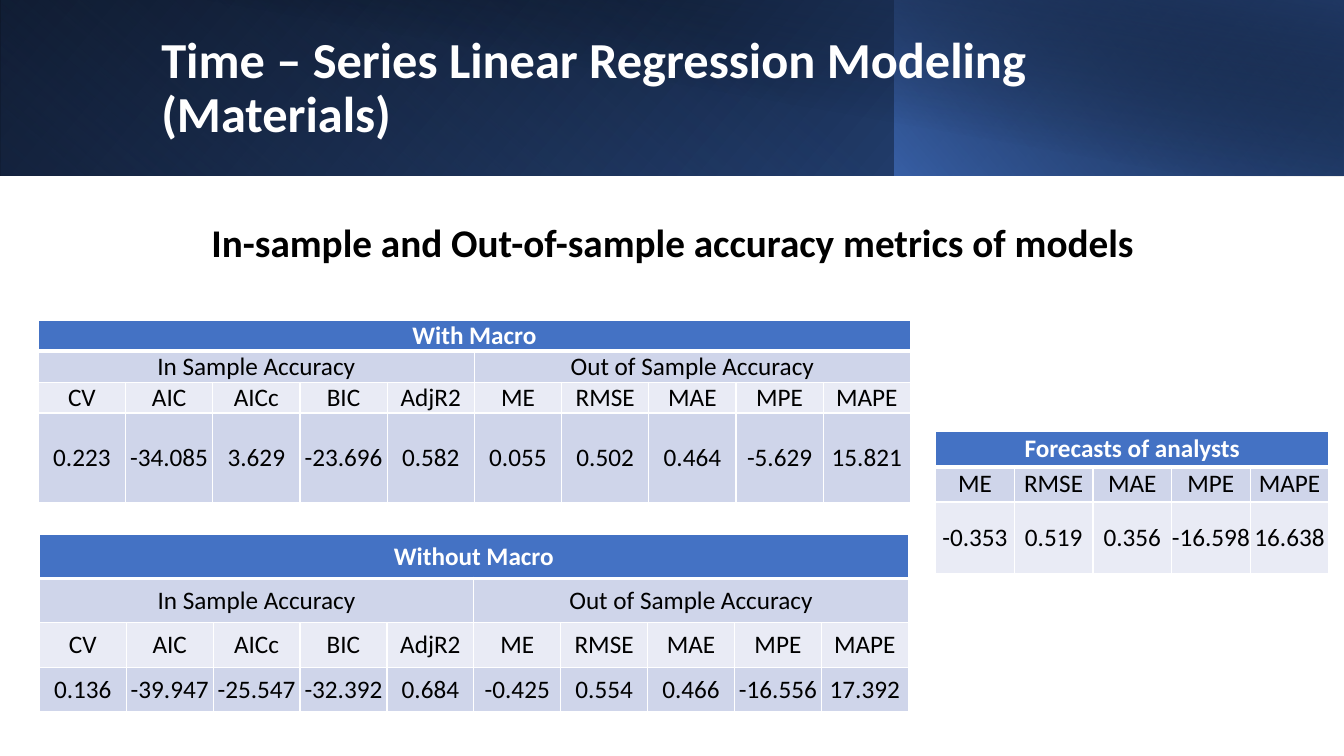
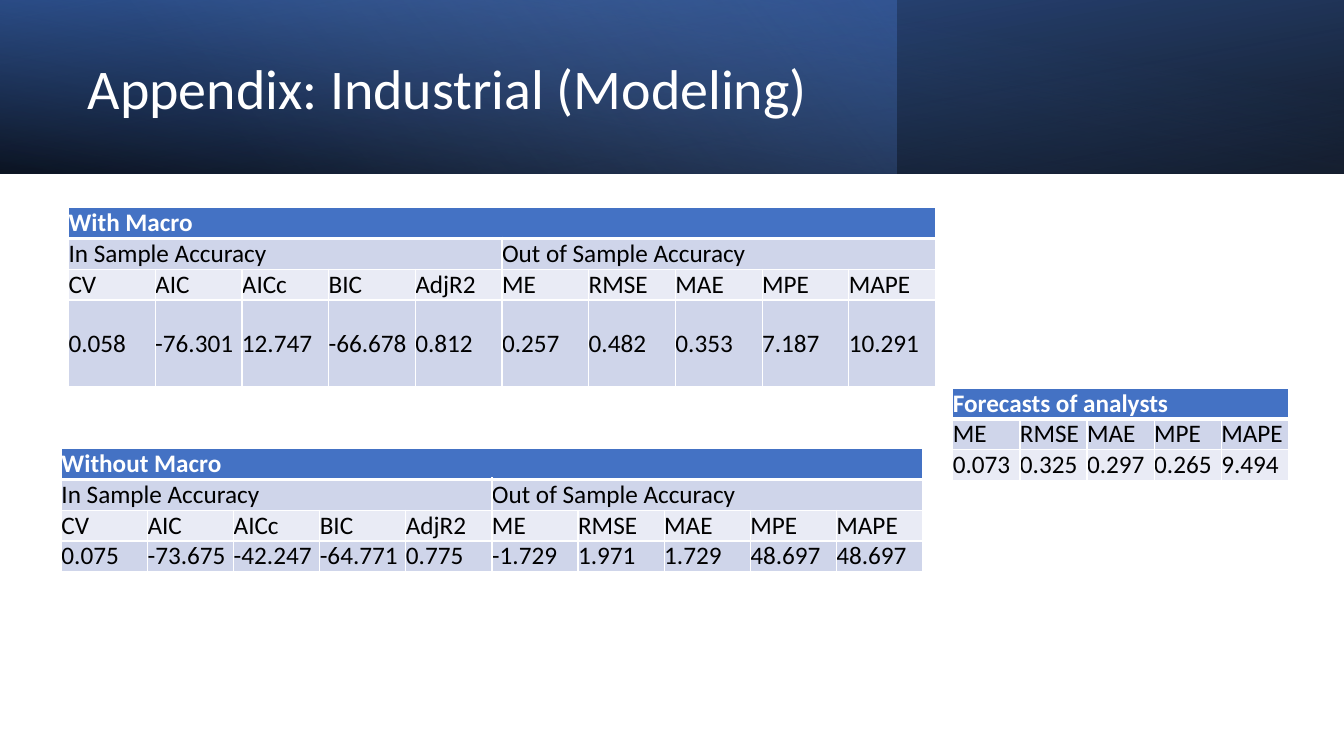
from dataclasses import dataclass

from lxml import etree
from pptx import Presentation
from pptx import util as u
from pptx.dml.color import RGBColor
from pptx.enum import shapes, text
from pptx.oxml.ns import qn

IN_SAMPLE = ["CV", "AIC", "AICc", "BIC", "AdjR2"]
OUT_SAMPLE = ["ME", "RMSE", "MAE", "MPE", "MAPE"]
GROUPS = ["In Sample Accuracy", "Out of Sample Accuracy"]
LEFT, CENTER = text.PP_ALIGN.LEFT, text.PP_ALIGN.CENTER


@dataclass(frozen=True)
class Theme:
    font: str = "Calibri"
    white: str = "FFFFFF"
    black: str = "000000"
    navy: str = "203864"
    deep: str = "2F5597"
    blue: str = "4472C4"
    sky: str = "8FAADC"
    stripes: tuple = ("CFD5EA", "E9EBF5")
    title: int = 36
    title_large: int = 40
    heading: int = 28
    cell: int = 18
    rule: int = 1
    header_rule: int = 3


class Deck:
    """Holds the theme and the current slide and draws each kind of element."""

    def __init__(self, theme):
        self.t = theme
        self.prs = Presentation()
        self.prs.slide_width = u.Inches(13.33)
        self.prs.slide_height = u.Inches(7.5)

    def slide(self):
        self.s = self.prs.slides.add_slide(self.prs.slide_layouts[5])

    def put_text(self, tf, words, size, color, bold=False, **para):
        p = tf.paragraphs[0]
        for name, value in para.items():
            setattr(p, name, value)
        r = p.add_run()
        r.text = words
        style = {"name": self.t.font, "size": u.Pt(size), "bold": bold}
        for name, value in style.items():
            setattr(r.font, name, value)
        r.font.color.rgb = RGBColor.from_string(color)

    def color(self, parent, value, alpha=100):
        c = etree.SubElement(parent, qn("a:srgbClr"), val=value)
        if alpha < 100:
            etree.SubElement(c, qn("a:alpha"), val=str(alpha * 1000))

    def band(self, box, angle, stops, flip=True, rotation=0):
        sp = self.s.shapes.add_shape(
            shapes.MSO_SHAPE.RECTANGLE, *map(u.Inches, box))
        sp.shadow.inherit = False
        sp.line.fill.background()
        sp.rotation = rotation
        if flip:
            sp._element.spPr.xfrm.set("flipH", "1")
        grad = etree.Element(qn("a:gradFill"), rotWithShape="1")
        stop_list = etree.SubElement(grad, qn("a:gsLst"))
        for pos, value, alpha in stops:
            stop = etree.SubElement(
                stop_list, qn("a:gs"), pos=str(pos * 1000))
            self.color(stop, value, alpha)
        etree.SubElement(
            grad, qn("a:lin"), ang=str(angle * 60000), scaled="0")
        sp._element.spPr.find(qn("a:prstGeom")).addnext(grad)

    def title(self, words, box, size, bold=False, **para):
        sp = self.s.shapes.title
        sp.left, sp.top, sp.width, sp.height = map(u.Inches, box)
        self.s.shapes._spTree.append(sp._element)
        tf = sp.text_frame
        tf.auto_size = text.MSO_AUTO_SIZE.NONE
        tf.vertical_anchor = text.MSO_ANCHOR.MIDDLE
        self.put_text(tf, words, size, self.t.white, bold,
                      alignment=LEFT, line_spacing=0.9, **para)

    def heading(self, words, box):
        tf = self.s.shapes.add_textbox(*map(u.Inches, box)).text_frame
        tf.word_wrap = True
        self.put_text(tf, words, self.t.heading, self.t.black, True,
                      alignment=CENTER)

    def borders(self, cell, row):
        widths = {"L": self.t.rule, "R": self.t.rule,
                  "T": self.t.header_rule if row == 1 else self.t.rule,
                  "B": self.t.header_rule if row == 0 else self.t.rule}
        for side, width in widths.items():
            ln = etree.SubElement(cell._tc.get_or_add_tcPr(),
                                  qn(f"a:ln{side}"), w=str(u.Pt(width)))
            self.color(etree.SubElement(ln, qn("a:solidFill")), self.t.white)

    def table(self, left, top, width, heights, rows, align):
        cols = len(rows[-1])
        tbl = self.s.shapes.add_table(
            len(rows), cols, *map(u.Inches, (left, top, width, sum(heights)))
        ).table
        for col in tbl.columns:
            col.width = u.Inches(width / cols)
        for i, (height, values) in enumerate(zip(heights, rows)):
            tbl.rows[i].height = u.Inches(height)
            fill = self.t.stripes[(i + 1) % 2] if i else self.t.blue
            for cell in tbl.rows[i].cells:
                for side in ("left", "right", "top", "bottom"):
                    setattr(cell, f"margin_{side}", 0)
                cell.vertical_anchor = text.MSO_ANCHOR.MIDDLE
                self.borders(cell, i)
                cell.fill.solid()
                cell.fill.fore_color.rgb = RGBColor.from_string(fill)
            span = cols // len(values)
            for j, words in enumerate(values):
                cell = tbl.cell(i, j * span)
                if span > 1:
                    cell.merge(tbl.cell(i, (j + 1) * span - 1))
                self.put_text(cell.text_frame, words, self.t.cell,
                              self.t.black if i else self.t.white, i == 0,
                              alignment=align)

    def model_table(self, name, values, left, top, width, heights, align):
        rows = [[name], GROUPS, IN_SAMPLE + OUT_SAMPLE, values.split()]
        self.table(left, top, width, heights, rows, align)

    def analyst_table(self, values, left, top, width, heights, align):
        rows = [["Forecasts of analysts"], OUT_SAMPLE, values.split()]
        self.table(left, top, width, heights, rows, align)


def materials(d):
    t = d.t
    d.slide()
    d.band((0, 0, 13.33, 1.74), 140, [(0, t.black, 100), (100, t.deep, 100)])
    d.band((0, 0, 8.88, 1.74), 230, [(20, t.blue, 0), (100, t.navy, 55)],
           rotation=180)
    d.band((8.87, 0, 4.46, 1.74), 220, [(0, t.blue, 66), (100, t.black, 30)])
    d.band((0.5, 0, 12.83, 1.75), 280, [(50, t.black, 0), (99, t.navy, 52)],
           flip=False)
    d.title("Time – Series Linear Regression Modeling (Materials)",
            (1.5, 0.32, 10.82, 1.13), t.title, bold=True)
    d.model_table(
        "With Macro",
        "0.223 -34.085 3.629 -23.696 0.582 0.055 0.502 0.464 -5.629 15.821",
        0.38, 3.18, 8.65, [0.3, 0.3, 0.3, 0.89], CENTER)
    d.model_table(
        "Without Macro",
        "0.136 -39.947 -25.547 -32.392 0.684 "
        "-0.425 0.554 0.466 -16.556 17.392",
        0.39, 5.3, 8.62, [0.44] * 4, CENTER)
    d.analyst_table("-0.353 0.519 0.356 -16.598 16.638",
                    9.28, 4.28, 3.9, [0.35, 0.35, 0.71], CENTER)
    d.heading("In-sample and Out-of-sample accuracy metrics of models",
              (1.29, 2.12, 10.76, 0.57))


def industrial(d):
    t = d.t
    d.slide()
    d.band((0, 0, 13.33, 1.72), 100, [(0, t.black, 96), (100, t.deep, 100)],
           rotation=180)
    d.band((0, 0, 8.89, 1.72), 140, [(0, t.blue, 41), (74, t.sky, 0)],
           flip=False)
    d.band((0, 0, 13.33, 1.72), 260, [(0, t.black, 63), (78, t.blue, 15)])
    d.title("Appendix: Industrial (Modeling)", (0.77, 0.27, 7.72, 1.27),
            t.title_large, space_after=u.Pt(6))
    d.model_table(
        "With Macro",
        "0.058 -76.301 12.747 -66.678 0.812 0.257 0.482 0.353 7.187 10.291",
        0.68, 2.06, 8.6, [0.3, 0.3, 0.3, 0.86], LEFT)
    d.model_table(
        "Without Macro",
        "0.075 -73.675 -42.247 -64.771 0.775 "
        "-1.729 1.971 1.729 48.697 48.697",
        0.61, 4.45, 8.54, [0.3] * 4, LEFT)
    d.analyst_table("0.073 0.325 0.297 0.265 9.494",
                    9.45, 3.85, 3.33, [0.3] * 3, LEFT)


def main():
    d = Deck(Theme())
    materials(d)
    industrial(d)
    d.prs.save("out.pptx")


if __name__ == "__main__":
    main()
